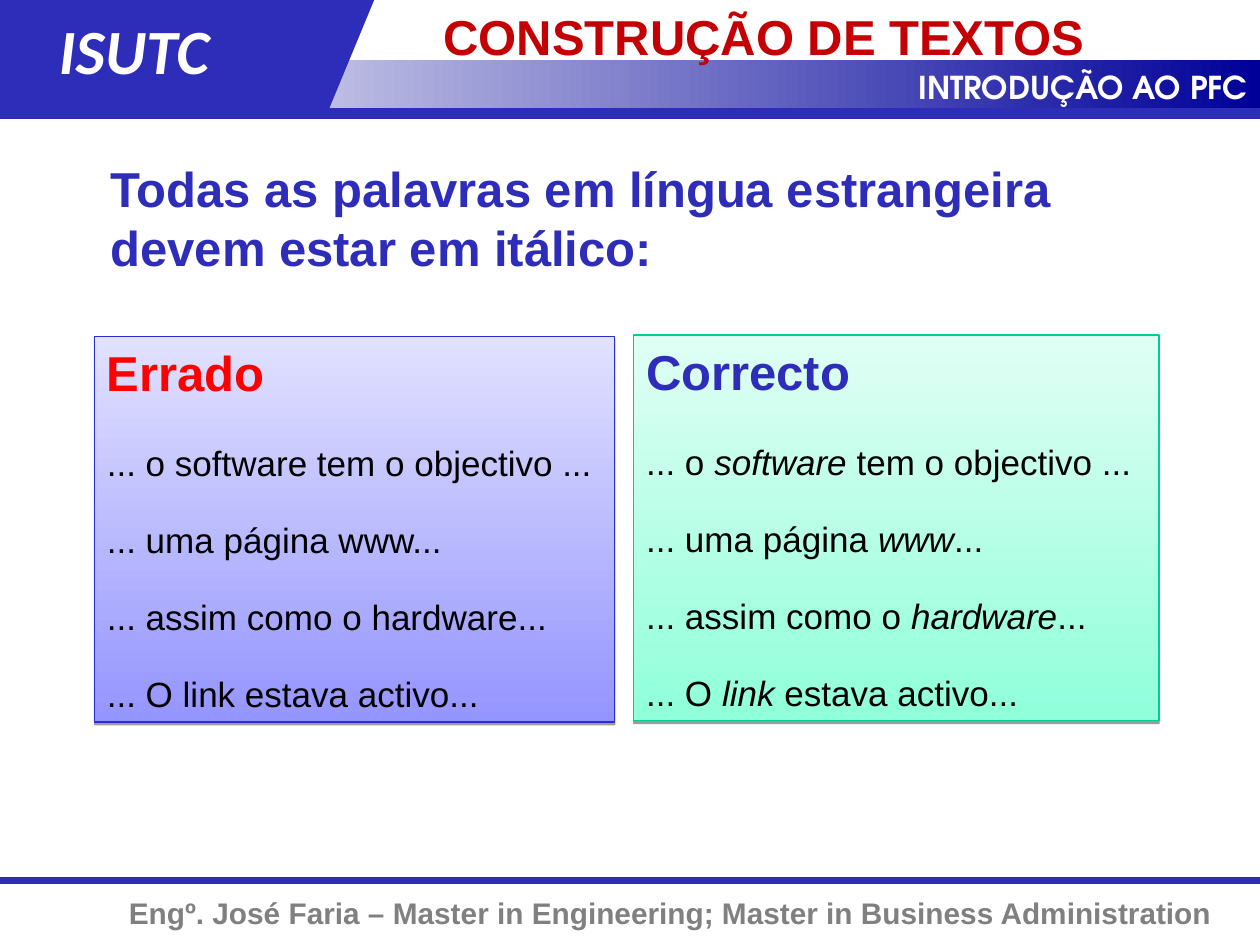
import pptx
import pptx.util
import pptx.dml.color
import pptx.enum.shapes
import pptx.enum.text
import pptx.oxml
import pptx.oxml.ns
from pptx.util import Inches, Pt

SHAPE = pptx.enum.shapes.MSO_SHAPE
ALIGN = pptx.enum.text.PP_ALIGN
BLUE = "2D2DB9"
PHRASES = [
    ("... o ", "software", " tem o objectivo ..."),
    ("... uma página ", "www", "..."),
    ("... assim como o ", "hardware", "..."),
    ("... O ", "link", " estava activo..."),
]


def rgb(value):
    return pptx.dml.color.RGBColor.from_string(value)


def set_font(p, size, color, name="Arial", bold=True, italic=False):
    f = p.font
    f.size, f.name, f.bold, f.italic = Pt(size), name, bold, italic
    f.color.rgb = rgb(color)


def prepare_frame(tf):
    tf.word_wrap = True
    tf.auto_size = pptx.enum.text.MSO_AUTO_SIZE.NONE
    tf.vertical_anchor = pptx.enum.text.MSO_ANCHOR.TOP


def add_text(s, box, text, size, color, align=ALIGN.LEFT, **style):
    tf = s.shapes.add_textbox(*map(Inches, box)).text_frame
    prepare_frame(tf)
    p = tf.paragraphs[0]
    p.text = text
    p.alignment = align
    set_font(p, size, color, **style)


def add_rule(s, y, width):
    line = s.shapes.add_connector(
        pptx.enum.shapes.MSO_CONNECTOR.STRAIGHT,
        Inches(0), Inches(y), Inches(10), Inches(y))
    line.line.color.rgb = rgb(BLUE)
    line.line.width = Pt(width)
    line._element.spPr.append(pptx.oxml.parse_xml(
        f"<a:effectLst {pptx.oxml.ns.nsdecls('a')}/>"))


def add_block(s, kind, box, colors, angle=0):
    sp = s.shapes.add_shape(kind, *map(Inches, box))
    sp.shadow.inherit = False
    sp.line.fill.background()
    if len(colors) == 1:
        sp.fill.solid()
        sp.fill.fore_color.rgb = rgb(colors[0])
    else:
        sp.fill.gradient()
        sp.fill.gradient_angle = angle
        for stop, color in zip(sp.fill.gradient_stops, colors):
            stop.color.rgb = rgb(color)
    return sp


def add_drop_shadow(sp):
    effects = sp._element.spPr.find(pptx.oxml.ns.qn("a:effectLst"))
    effects.append(pptx.oxml.parse_xml(
        f'<a:outerShdw {pptx.oxml.ns.nsdecls("a")} blurRad="0" dist="{Pt(1.6)}" '
        'dir="5400000" rotWithShape="0"><a:srgbClr val="000000">'
        '<a:alpha val="38000"/></a:srgbClr></a:outerShdw>'))


def add_panel(s, box, colors, border, heading, heading_color, italic_terms):
    sp = add_block(s, SHAPE.RECTANGLE, box, colors, angle=90)
    sp.line.color.rgb = rgb(border)
    sp.line.width = Pt(0.75)
    add_drop_shadow(sp)
    tf = sp.text_frame
    prepare_frame(tf)
    p = tf.paragraphs[0]
    p.text = heading
    p.alignment = ALIGN.LEFT
    p.space_after = Pt(10.5)
    set_font(p, 28, heading_color)
    for phrase in PHRASES:
        p = tf.add_paragraph()
        p.alignment = ALIGN.LEFT
        p.space_before, p.space_after = Pt(12.5), Pt(7.5)
        set_font(p, 20, "000000", bold=False)
        if italic_terms:
            for text in phrase:
                p.add_run().text = text
            p.runs[1].font.italic = True
        else:
            p.add_run().text = "".join(phrase)


def add_title(s, text):
    title = s.shapes.title
    title.left, title.top = Inches(3.42), Inches(0)
    title.width, title.height = Inches(6.58), Inches(0.48)
    tf = title.text_frame
    prepare_frame(tf)
    p = tf.paragraphs[0]
    p.text = text
    p.alignment = ALIGN.LEFT
    set_font(p, 28, "C40005")


def add_frame(s):
    add_rule(s, 6.99, 4)
    add_text(s, (0, 7.05, 9.72, 0.39),
             "Engº. José Faria – Master in Engineering; Master in Business Administration",
             17, "808080", ALIGN.RIGHT)
    add_block(s, SHAPE.RECTANGLE, (0, 0.48, 10, 0.39), ["FFFFFF", "000099"])
    add_block(s, SHAPE.FLOWCHART_DATA, (1.17, 0, 1.8, 0.87), [BLUE])
    add_block(s, SHAPE.RECTANGLE, (0, 0, 1.59, 0.87), [BLUE])
    add_text(s, (4.36, 0.49, 5.64, 0.4), "INTRODUÇÃO AO PFC", 18, "FFFFFF",
             ALIGN.RIGHT, name="TeX Gyre Adventor")
    add_text(s, (0.37, 0.04, 1.93, 0.7), "ISUTC", 36, "FFFFFF",
             name="Calibri", italic=True)
    add_rule(s, 0.9, 6)


def main():
    prs = pptx.Presentation()
    prs.slide_width, prs.slide_height = Inches(10), Inches(7.5)
    s = prs.slides.add_slide(prs.slide_layouts[5])
    add_frame(s)
    add_text(s, (0.78, 1.21, 8.24, 1.04),
             "Todas as palavras em língua estrangeira devem estar em itálico:",
             28, BLUE)
    add_panel(s, (0.75, 2.67, 4.13, 3.06), ["9595FF", "E1E1FF"], "2E2ECB",
              "Errado", "FF0000", italic_terms=False)
    add_panel(s, (5.03, 2.66, 4.17, 3.06), ["90FFDA", "E0FFF4"], "00CC98",
              "Correcto", BLUE, italic_terms=True)
    add_title(s, "CONSTRUÇÃO DE TEXTOS")
    s.shapes._spTree.append(s.shapes.title._element)
    prs.save("out.pptx")


if __name__ == "__main__":
    main()
